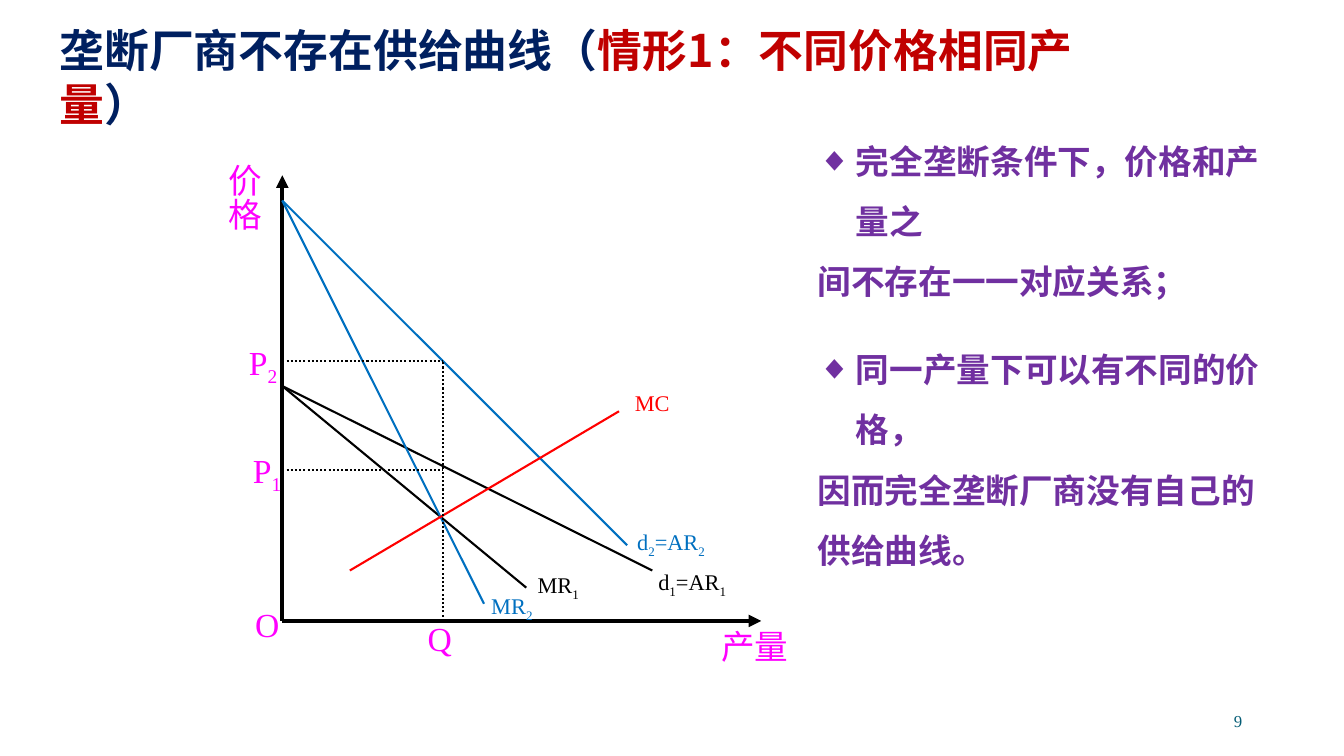
from pptx import Presentation
from pptx.dml.color import RGBColor
from pptx.enum.dml import MSO_LINE
from pptx.enum.shapes import MSO_CONNECTOR
from pptx.enum.text import MSO_ANCHOR, MSO_AUTO_SIZE, PP_ALIGN
from pptx.oxml.ns import qn
from pptx.util import Inches, Pt
from lxml.etree import SubElement

COLORS = {"navy": "002060", "dark_red": "C00000", "purple": "7030A0",
          "magenta": "FF00FF", "black": "000000", "blue": "0070C0",
          "red": "FF0000", "teal": "045C75"}
SANS, SERIF = "Noto Sans CJK SC", "Times New Roman"

TITLE = [("垄断厂商不存在供给曲线（", "navy"),
         ("情形1：不同价格相同产量", "dark_red"), ("）", "navy")]
POINTS = [["完全垄断条件下，价格和产量之", "间不存在一一对应关系；"],
          ["同一产量下可以有不同的价格，", "因而完全垄断厂商没有自己的", "供给曲线。"]]

# Key chart coordinates
X0, Y0, XQ = 2.8, 6.16, 4.39
P1, P2 = 4.66, 3.58
D1, D2 = 3.83, 1.99  # where each demand curve meets the price axis
AXES = [(X0, Y0, X0, 1.74), (X0, Y0, 7.55, Y0)]
CURVES = [(X0, D1, 6.47, 5.66, "black"), (X0, D1, 5.22, 5.83, "black"),
          (X0, D2, 4.8, 5.99, "blue"), (X0, D2, 6.22, 5.41, "blue"),
          (3.47, 5.66, 6.14, 4.08, "red")]
GUIDES = [(XQ, Y0, XQ, P2), (X0, P2, XQ, P2), (X0, P1, XQ, P1)]

# Text, left, top, width, height, size, colour; "_" lowers the next character
LABELS = [("产量", 7.05, 6.16, 0.87, 0.5, 24, "magenta"),
          ("O", 2.43, 5.94, 0.44, 0.5, 24, "magenta"),
          ("Q", 4.14, 6.08, 0.44, 0.5, 24, "magenta"),
          ("P_1", 2.39, 4.41, 0.5, 0.5, 24, "magenta"),
          ("P_2", 2.35, 3.34, 0.5, 0.5, 24, "magenta"),
          ("MC", 6.19, 3.81, 0.55, 0.37, 16, "red"),
          ("d_1=AR_1", 6.4, 5.59, 0.9, 0.37, 16, "black"),
          ("MR_1", 5.21, 5.62, 0.63, 0.37, 16, "black"),
          ("MR_2", 4.75, 5.83, 0.63, 0.37, 16, "blue"),
          ("d_2=AR_2", 6.19, 5.19, 0.9, 0.37, 16, "blue"),
          ("9", 9.42, 6.95, 3, 0.4, 12, "teal")]
PRICE_LABEL = ("价格", 2.06, 1.53, 0.61, 0.77, 24, "magenta")


def rgb(name):
    return RGBColor.from_string(COLORS[name])


def place(sp, x, y, w, h):
    sp.left, sp.top, sp.width, sp.height = map(Inches, (x, y, w, h))


def add_run(p, text, font, size, color, bold=False):
    r = p.add_run()
    r.text = text
    r.font.name, r.font.size, r.font.bold = font, Pt(size), bold
    r.font.color.rgb = rgb(color)
    SubElement(r.font._element, qn("a:ea")).set("typeface", SANS)
    return r


def add_line(x1, y1, x2, y2, color="black", width=1.5):
    c = s.shapes.add_connector(MSO_CONNECTOR.STRAIGHT,
                               *map(Inches, (x1, y1, x2, y2)))
    c.line.color.rgb, c.line.width = rgb(color), Pt(width)
    SubElement(c._element.spPr, qn("a:effectLst"))
    return c


def add_label(text, x, y, w, h, size, color):
    tf = s.shapes.add_textbox(*map(Inches, (x, y, w, h))).text_frame
    tf.word_wrap = False
    tf.vertical_anchor = MSO_ANCHOR.MIDDLE if color == "teal" else MSO_ANCHOR.TOP
    p = tf.paragraphs[0]
    p.alignment = PP_ALIGN.RIGHT
    first, *rest = text.split("_")
    add_run(p, first, SERIF, size, color)
    for part in rest:
        sub = add_run(p, part[0], SERIF, size, color)
        sub.font._element.set("baseline", "-25000")
        if part[1:]:
            add_run(p, part[1:], SERIF, size, color)
    return tf


prs = Presentation()
prs.slide_width, prs.slide_height = Inches(13.33), Inches(7.5)
s = prs.slides.add_slide(prs.slide_layouts[1])
title, body = s.placeholders

# Title
place(title, 0.49, 0.18, 10.96, 0.89)
tf = title.text_frame
tf.auto_size, tf.vertical_anchor = MSO_AUTO_SIZE.NONE, MSO_ANCHOR.TOP
p = tf.paragraphs[0]
p.alignment = PP_ALIGN.LEFT
for text, color in TITLE:
    add_run(p, text, SANS, 32, color, True)

# Conclusions
place(body, 8.01, 2.1, 4.9, 2.65)
tf = body.text_frame
tf.auto_size, tf.vertical_anchor = MSO_AUTO_SIZE.NONE, MSO_ANCHOR.MIDDLE
tf.word_wrap = False
for i, lines in enumerate(POINTS):
    for j, line in enumerate(lines):
        p = tf.add_paragraph() if i or j else tf.paragraphs[0]
        pPr = p._p.get_or_add_pPr()
        indent = 0 if j else Inches(0.38)
        pPr.set("marL", str(indent))
        pPr.set("indent", str(-indent))
        if j:
            SubElement(pPr, qn("a:buNone"))
        else:
            SubElement(pPr, qn("a:buChar")).set("char", "◆")
        p.line_spacing = 1.5
        p.space_before = Pt(19 if i and not j else 0)
        add_run(p, line, SANS, 24, "purple", True)

# Axes, curves and dotted guides
for axis in AXES:
    ln = add_line(*axis, width=3).line
    SubElement(ln._get_or_add_ln(), qn("a:tailEnd")).set("type", "triangle")
for curve in CURVES:
    add_line(*curve)
for guide in GUIDES:
    add_line(*guide).line.dash_style = MSO_LINE.ROUND_DOT

# Labels and page number
for label in LABELS:
    add_label(*label)
add_label(*PRICE_LABEL)._txBody.bodyPr.set("vert", "eaVert")

prs.save("out.pptx")
